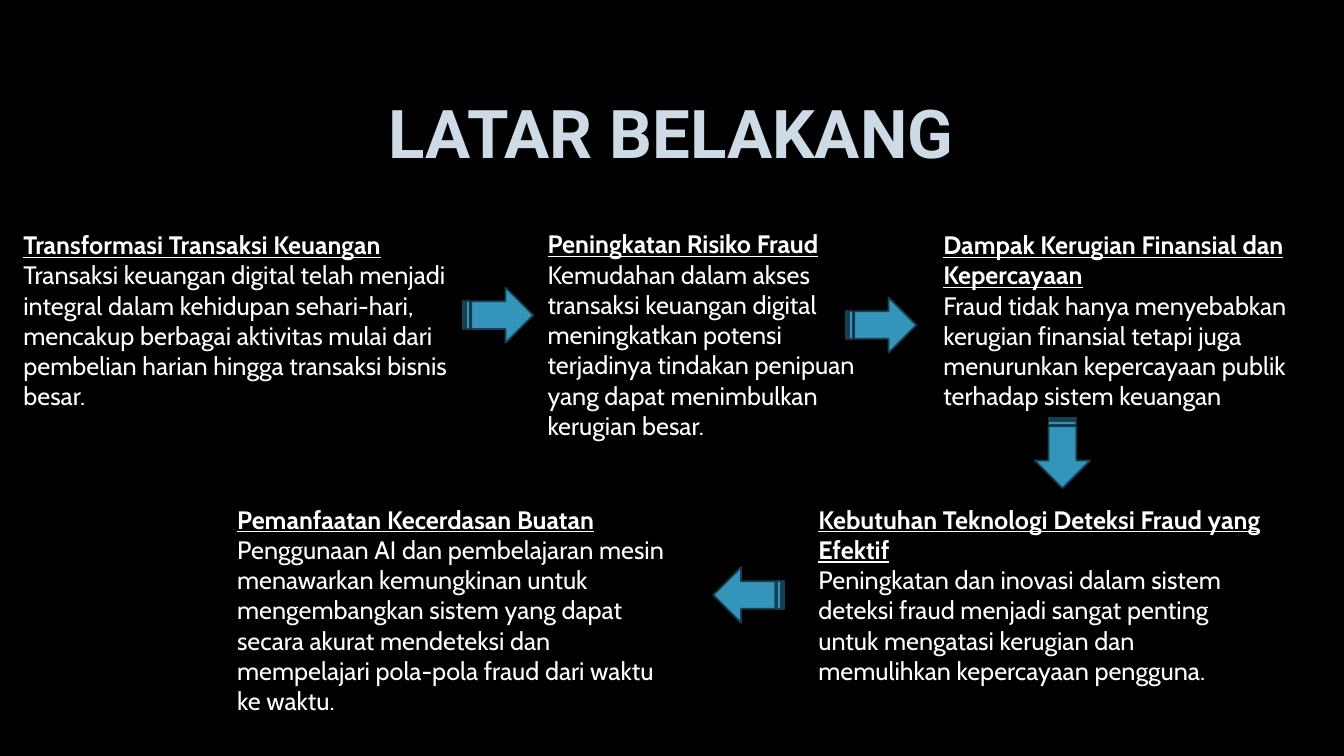
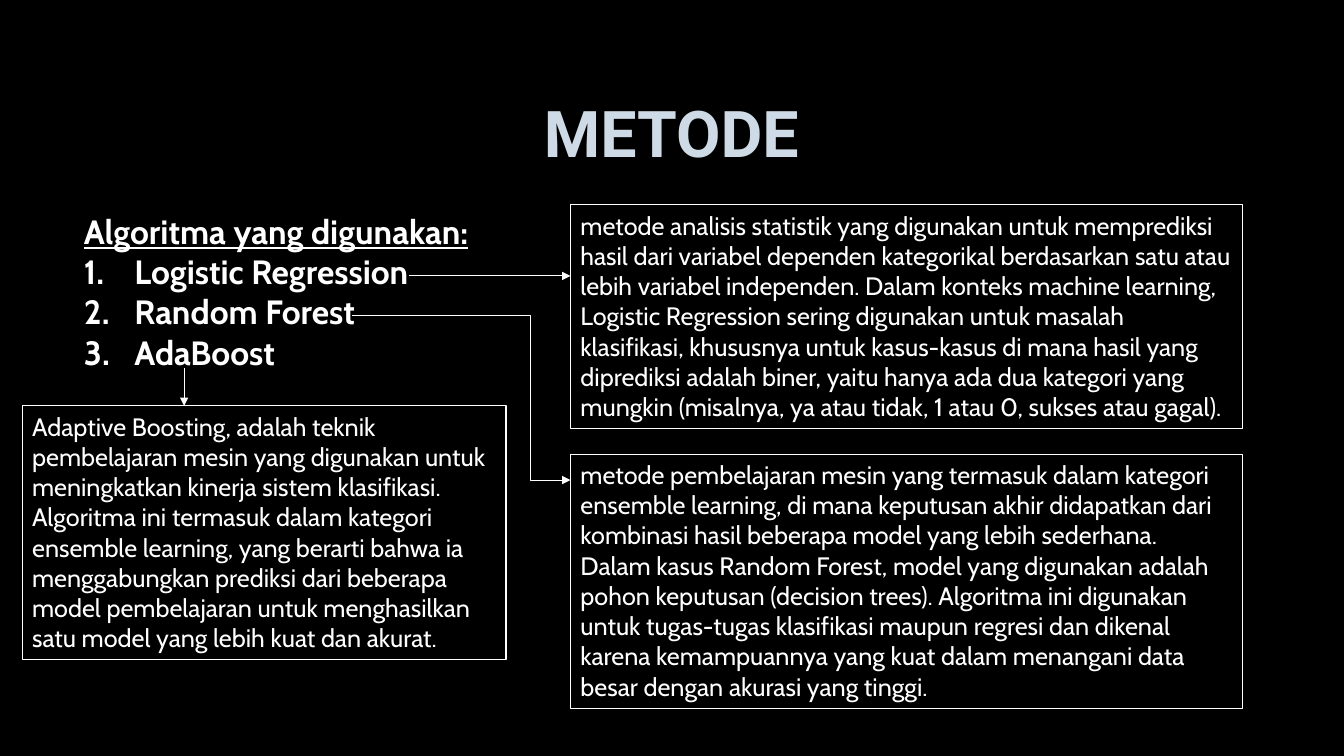
from lxml import etree
from pptx import Presentation
from pptx import util as u
from pptx.dml.color import RGBColor
from pptx.enum import shapes, text
from pptx.oxml.ns import qn

BLACK, WHITE, PALE, BLUE, NAVY = "000000", "FFFFFF", "CEDBE6", "3494BA", "174152"
TITLE_FONT, BODY_FONT = "Roboto", "Cabin"
TITLE_AREA = (7.5, 8.9, 84.9, 18.4)
ARROW_SIZE = (5.25, 7.33)


def rgb(value):
    return RGBColor.from_string(value)


class Deck:
    """Places elements on the current slide; lengths are percent of its size."""

    def __init__(self):
        self.prs = Presentation()
        self.prs.slide_width, self.prs.slide_height = u.Inches(13.33), u.Inches(7.5)
        background = self.prs.slide_master.background.fill
        background.solid()
        background.fore_color.rgb = rgb(BLACK)

    def x(self, share):
        return round(self.prs.slide_width * share / 100)

    def y(self, share):
        return round(self.prs.slide_height * share / 100)

    def area(self, left, top, width, height):
        return self.x(left), self.y(top), self.x(width), self.y(height)

    def new_slide(self, layout, title, size):
        self.slide = self.prs.slides.add_slide(self.prs.slide_layouts[layout])
        heading = self.slide.shapes.title
        self.move(heading, TITLE_AREA)
        frame = self.frame(heading, text.MSO_ANCHOR.MIDDLE)
        paragraph = self.paragraph(frame, title, size, True, font=TITLE_FONT, color=PALE)
        paragraph.alignment = text.PP_ALIGN.CENTER
        paragraph.line_spacing = 0.9

    def move(self, shape, area):
        shape.left, shape.top, shape.width, shape.height = self.area(*area)

    def frame(self, shape, anchor=text.MSO_ANCHOR.TOP):
        frame = shape.text_frame
        frame.word_wrap = True
        frame.auto_size = text.MSO_AUTO_SIZE.NONE
        frame.vertical_anchor = anchor
        return frame

    def paragraph(self, frame, words, size=18, bold=False, underline=False,
                  font=BODY_FONT, color=WHITE):
        """Fills the first empty paragraph, or adds one."""
        first = frame.paragraphs[0]
        paragraph = frame.add_paragraph() if first.runs else first
        paragraph.alignment = text.PP_ALIGN.LEFT
        paragraph.space_before = u.Pt(0)
        run = paragraph.add_run()
        run.text = words
        run.font.name, run.font.size = font, u.Pt(size)
        run.font.bold, run.font.underline = bold, underline
        run.font.color.rgb = rgb(color)
        return paragraph

    def step(self, area, heading, body):
        frame = self.frame(self.slide.shapes.add_textbox(*self.area(*area)))
        self.paragraph(frame, heading, bold=True, underline=True)
        self.paragraph(frame, body)

    def block_arrow(self, center_x, center_y, rotation=0):
        width, height = ARROW_SIZE
        arrow = self.slide.shapes.add_shape(
            shapes.MSO_SHAPE.STRIPED_RIGHT_ARROW,
            *self.area(center_x - width / 2, center_y - height / 2, width, height))
        arrow.rotation = rotation
        arrow.shadow.inherit = False
        arrow.fill.solid()
        arrow.fill.fore_color.rgb = rgb(BLUE)
        arrow.line.color.rgb = rgb(NAVY)
        arrow.line.width = u.Pt(1.25)

    def numbered_list(self, area, heading, items):
        body = self.slide.placeholders[1]
        self.move(body, area)
        frame = self.frame(body)
        lead = self.paragraph(frame, heading, 24, True, True)
        self.bullet(lead, 0, "a:buNone")
        for item in items:
            self.bullet(self.paragraph(frame, item, 24, True), 0.5, "a:buAutoNum",
                        type="arabicPeriod")

    def bullet(self, paragraph, indent, tag, **attributes):
        properties = paragraph._p.get_or_add_pPr()
        properties.set("marL", str(u.Inches(indent)))
        properties.set("indent", str(-u.Inches(indent)))
        etree.SubElement(properties, qn("a:buFontTx"))
        etree.SubElement(properties, qn(tag), **attributes)

    def note(self, area, words):
        box = self.slide.shapes.add_shape(shapes.MSO_SHAPE.RECTANGLE, *self.area(*area))
        box.shadow.inherit = False
        box.fill.background()
        box.line.color.rgb = rgb(WHITE)
        box.line.width = u.Pt(0.75)
        self.paragraph(self.frame(box), words)

    def link(self, start, end, bend=None):
        """Draws an arrow; bend is the share of its width where an elbow turns."""
        kind = shapes.MSO_CONNECTOR.ELBOW if bend else shapes.MSO_CONNECTOR.STRAIGHT
        line = self.slide.shapes.add_connector(
            kind, self.x(start[0]), self.y(start[1]), self.x(end[0]), self.y(end[1]))
        line.line.color.rgb = rgb(WHITE)
        line.line.width = u.Pt(0.75)
        properties = line._element.spPr
        etree.SubElement(line.line._get_or_add_ln(), qn("a:tailEnd"), type="triangle")
        etree.SubElement(properties, qn("a:effectLst"))
        if bend:
            guides = properties.find(qn("a:prstGeom")).find(qn("a:avLst"))
            etree.SubElement(guides, qn("a:gd"), name="adj1",
                             fmla=f"val {round(bend * 1000)}")


def background_slide(deck):
    deck.new_slide(5, "LATAR BELAKANG", 48)
    upper, lower, height = 29.7, 66, 25.6
    steps = [
        (1, upper, 33.75, "Transformasi Transaksi Keuangan",
         "Transaksi keuangan digital telah menjadi integral dalam kehidupan sehari-hari, "
         "mencakup berbagai aktivitas mulai dari pembelian harian hingga transaksi bisnis "
         "besar."),
        (40, upper - 0.1, 26.2, "Peningkatan Risiko Fraud",
         "Kemudahan dalam akses transaksi keuangan digital meningkatkan potensi terjadinya "
         "tindakan penipuan yang dapat menimbulkan kerugian besar."),
        (69.45, upper, 27.9, "Dampak Kerugian Finansial dan Kepercayaan",
         "Fraud tidak hanya menyebabkan kerugian finansial tetapi juga menurunkan "
         "kepercayaan publik terhadap sistem keuangan"),
        (60.15, lower, 34.4, "Kebutuhan Teknologi Deteksi Fraud yang Efektif",
         "Peningkatan dan inovasi dalam sistem deteksi fraud menjadi sangat penting untuk "
         "mengatasi kerugian dan memulihkan kepercayaan pengguna."),
        (16.9, lower, 34.4, "Pemanfaatan Kecerdasan Buatan",
         "Penggunaan AI dan pembelajaran mesin menawarkan kemungkinan untuk mengembangkan "
         "sistem yang dapat secara akurat mendeteksi dan mempelajari pola-pola fraud dari "
         "waktu ke waktu."),
    ]
    for left, top, width, heading, body in steps:
        deck.step((left, top, width, height), heading, body)
    for arrow in [(37.05, 41.7), (65.55, 43), (79.05, 59.9, 90), (55.7, 78.7, 180)]:
        deck.block_arrow(*arrow)


def method_slide(deck):
    deck.new_slide(1, "METODE", 46)
    deck.numbered_list((5.5, 27.2, 69, 22.9), "Algoritma yang digunakan:",
                       ["Logistic Regression", "Random Forest", "AdaBoost"])
    notes_left, notes_width, adaptive_top = 42.45, 50, 53.7
    deck.note((notes_left, 27.1, notes_width, 29.6),
              "metode analisis statistik yang digunakan untuk memprediksi hasil dari "
              "variabel dependen kategorikal berdasarkan satu atau lebih variabel "
              "independen. Dalam konteks machine learning, Logistic Regression sering "
              "digunakan untuk masalah klasifikasi, khususnya untuk kasus-kasus di mana "
              "hasil yang diprediksi adalah biner, yaitu hanya ada dua kategori yang "
              "mungkin (misalnya, ya atau tidak, 1 atau 0, sukses atau gagal).")
    deck.note((notes_left, 60.1, notes_width, 33.6),
              "metode pembelajaran mesin yang termasuk dalam kategori ensemble learning, "
              "di mana keputusan akhir didapatkan dari kombinasi hasil beberapa model yang "
              "lebih sederhana. Dalam kasus Random Forest, model yang digunakan adalah "
              "pohon keputusan (decision trees). Algoritma ini digunakan untuk tugas-tugas "
              "klasifikasi maupun regresi dan dikenal karena kemampuannya yang kuat dalam "
              "menangani data besar dengan akurasi yang tinggi.")
    deck.note((1.65, adaptive_top, 36, 33.6),
              "Adaptive Boosting, adalah teknik pembelajaran mesin yang digunakan untuk "
              "meningkatkan kinerja sistem klasifikasi. Algoritma ini termasuk dalam "
              "kategori ensemble learning, yang berarti bahwa ia menggabungkan prediksi "
              "dari beberapa model pembelajaran untuk menghasilkan satu model yang lebih "
              "kuat dan akurat.")
    deck.link((30.45, 36.5), (notes_left, 36.5))
    deck.link((26.2, 41.7), (notes_left, 63.5), bend=81.8)
    deck.link((13.7, 48.7), (13.7, adaptive_top))


def main():
    deck = Deck()
    background_slide(deck)
    method_slide(deck)
    deck.prs.save("out.pptx")


if __name__ == "__main__":
    main()
